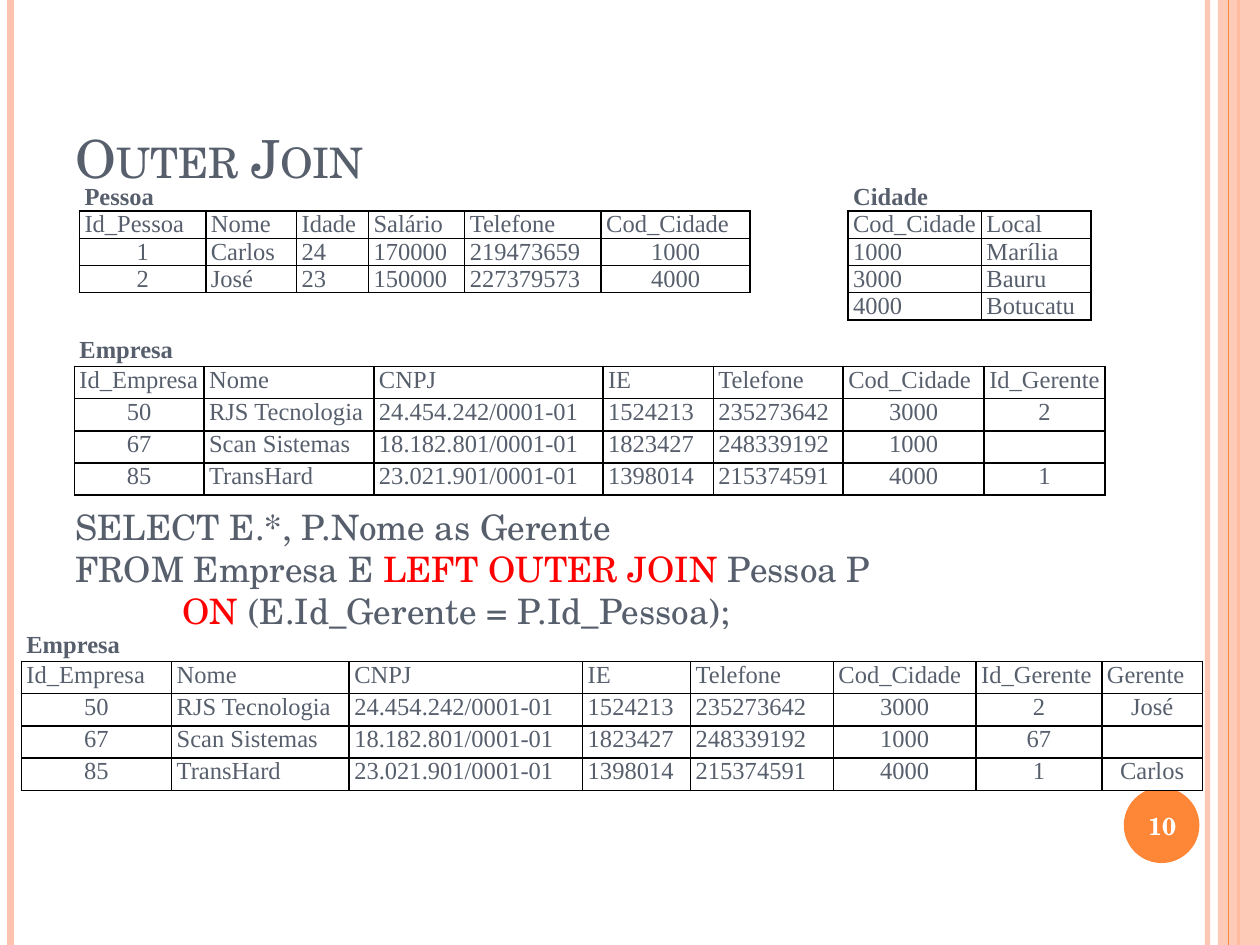
from dataclasses import dataclass

from lxml import etree
from pptx import Presentation
from pptx.dml.color import RGBColor
from pptx.enum.shapes import MSO_CONNECTOR, MSO_SHAPE
from pptx.enum.text import MSO_ANCHOR, PP_ALIGN
from pptx.oxml.ns import qn
from pptx.util import Pt

LEFT, CENTER, JUST = PP_ALIGN.LEFT, PP_ALIGN.CENTER, PP_ALIGN.JUSTIFY
TOP, MIDDLE, BOTTOM = MSO_ANCHOR.TOP, MSO_ANCHOR.MIDDLE, MSO_ANCHOR.BOTTOM
RECT, OVAL = MSO_SHAPE.RECTANGLE, MSO_SHAPE.OVAL
STRAIGHT = MSO_CONNECTOR.STRAIGHT

HEX = {
    "ink": "575F6D", "red": "FF0000", "white": "FFFFFF",
    "black": "000000", "peach": "FEC3AE", "orange": "FE8637",
}
SERIF, SCHOOL = "Times New Roman", "TeX Gyre Schola"
PLAIN = "{2D5ABB26-0587-4C30-8999-92F81FD0307C}"
WIDE, HIGH = 720, 540


@dataclass
class Rule:
    x: float
    width: float
    color: str
    alpha: int = 100


@dataclass
class Grid:
    left: float
    top: float
    high: float
    widths: list
    spans: list
    mid: set
    rows: list


def rgb(name: str) -> RGBColor:
    return RGBColor.from_string(HEX[name])


def fade(fill, alpha: int) -> None:
    tint = next(fill.iter(qn("a:srgbClr")))
    etree.SubElement(tint, qn("a:alpha"), val=str(alpha * 1000))


def add_run(para, text: str, size: float, font: str, color: str = "ink", bold: bool = False):
    run = para.add_run()
    run.text = text
    run.font.size = Pt(size)
    run.font.name = font
    run.font.bold = bold
    run.font.color.rgb = rgb(color)
    return run


def draw_rule(slide, rule: Rule) -> None:
    line = slide.shapes.add_connector(STRAIGHT, Pt(rule.x), 0, Pt(rule.x), Pt(HIGH))
    line.line.width = Pt(rule.width)
    line.line.color.rgb = rgb(rule.color)
    if rule.alpha < 100:
        fade(line._element.spPr, rule.alpha)
    etree.SubElement(line._element.spPr, qn("a:effectLst"))


def draw_shape(slide, kind, box: tuple, color: str, alpha: int = 100) -> None:
    shape = slide.shapes.add_shape(kind, *map(Pt, box))
    shape.shadow.inherit = False
    shape.fill.solid()
    shape.fill.fore_color.rgb = rgb(color)
    shape.line.fill.background()
    if alpha < 100:
        fade(shape._element.spPr, alpha)


def add_text(slide, box: tuple):
    frame = slide.shapes.add_textbox(*map(Pt, box)).text_frame
    frame.word_wrap = True
    frame.vertical_anchor = MIDDLE
    return frame


def draw_edge(cell, side: str, place: int) -> None:
    edge = etree.Element(qn("a:ln" + side), w=str(Pt(1)))
    fill = etree.SubElement(edge, qn("a:solidFill"))
    etree.SubElement(fill, qn("a:srgbClr"), val=HEX["black"])
    cell._tc.get_or_add_tcPr().insert(place, edge)


def draw_grid(slide, grid: Grid) -> None:
    rows, cols = len(grid.rows), len(grid.widths)
    frame = slide.shapes.add_table(
        rows, cols, Pt(grid.left), Pt(grid.top), Pt(sum(grid.widths)), Pt(grid.high * rows))
    table = frame.table
    table._tbl.tblPr.find(qn("a:tableStyleId")).text = PLAIN
    for col, width in zip(table.columns, grid.widths):
        col.width = Pt(width)

    def boxed(r: int, c: int) -> bool:
        return 0 < r < rows and 0 <= c < cols and grid.rows[r][c] is not None

    for r, row in enumerate(grid.rows):
        table.rows[r].height = Pt(grid.high)
        for c, text in enumerate(row):
            cell = table.cell(r, c)
            cell.margin_left = cell.margin_right = Pt(2.9)
            cell.margin_top = cell.margin_bottom = 0
            cell.vertical_anchor = TOP if r else MIDDLE
            cell.fill.solid()
            cell.fill.fore_color.rgb = rgb("white")
            para = cell.text_frame.paragraphs[0]
            para.alignment = CENTER if r > 1 and c in grid.mid else LEFT
            if text:
                add_run(para, text, 14, SERIF, bold=r == 0)
            else:
                end = etree.SubElement(para._p, qn("a:endParaRPr"), sz="1400")
                etree.SubElement(end, qn("a:latin"), typeface=SERIF)
            near = {"L": (r, c - 1), "R": (r, c + 1), "T": (r - 1, c), "B": (r + 1, c)}
            sides = [s for s, spot in near.items() if boxed(r, c) or boxed(*spot)]
            for place, side in enumerate(sides):
                draw_edge(cell, side, place)
    for first, last in grid.spans:
        table.cell(0, first).merge(table.cell(0, last))


RULES = [
    Rule(690, 3, "peach", 93), Rule(6, 4.5, "peach"), Rule(707.8, 1.5, "orange"),
]
PEOPLE = [
    ["Pessoa"] + [None] * 6 + ["Cidade", None],
    ["Id_Pessoa", "Nome", "Idade", "Salário", "Telefone", "Cod_Cidade", None, "Cod_Cidade", "Local"],
    ["1", "Carlos", "24", "170000", "219473659", "1000", None, "1000", "Marília"],
    ["2", "José", "23", "150000", "227379573", "4000", None, "3000", "Bauru"],
    [None] * 7 + ["4000", "Botucatu"],
]
FIRMS = [
    ["Empresa"] + [None] * 5,
    ["Id_Empresa", "Nome", "CNPJ", "IE", "Telefone", "Cod_Cidade"],
    ["50", "RJS Tecnologia", "24.454.242/0001-01", "1524213", "235273642", "3000"],
    ["67", "Scan Sistemas", "18.182.801/0001-01", "1823427", "248339192", "1000"],
    ["85", "TransHard", "23.021.901/0001-01", "1398014", "215374591", "4000"],
]
HEADS = [[None], ["Id_Gerente"], ["2"], [""], ["1"]]
JOINED = [[None, None], ["Id_Gerente", "Gerente"], ["2", "José"], ["67", ""], ["1", "Carlos"]]
GRIDS = [
    Grid(45.4, 105.1, 15.55, [72.2, 51.9, 41.1, 55, 78, 85.1, 56, 76.2, 62.7],
         [(0, 5), (7, 8)], {0, 5}, PEOPLE),
    Grid(42.5, 191, 18.4, [74.1, 97.1, 130.9, 63.1, 74.2, 80.6, 69],
         [(0, 5)], {0, 5, 6}, [a + b for a, b in zip(FIRMS, HEADS)]),
    Grid(12.2, 359.6, 18.4, [85.9, 101.5, 133.4, 61.7, 81.6, 81.6, 71.8, 57.6],
         [(0, 5)], {0, 5, 6, 7}, [a + b for a, b in zip(FIRMS, JOINED)]),
]
QUERY = [
    (0, [("SELECT E.*, P.Nome as Gerente", "ink")]),
    (0, [("FROM Empresa E ", "ink"), ("LEFT OUTER JOIN ", "red"), ("Pessoa P", "ink")]),
    (61.2, [("ON", "red"), (" (E.Id_Gerente = P.Id_Pessoa);", "ink")]),
]


def main() -> None:
    deck = Presentation()
    deck.slide_width, deck.slide_height = Pt(WIDE), Pt(HIGH)
    slide = deck.slides.add_slide(deck.slide_layouts[5])
    for rule in RULES:
        draw_rule(slide, rule)
    draw_shape(slide, RECT, (696, 0, 24, HIGH), "peach", 87)
    draw_rule(slide, Rule(702, 0.75, "orange"))
    draw_shape(slide, OVAL, (642.2, 450, 43.2, 43.2), "orange")

    title = slide.shapes.title
    title.left, title.top, title.width, title.height = map(Pt, (36, 21.6, 588, 90))
    title.text_frame.vertical_anchor = BOTTOM
    para = title.text_frame.paragraphs[0]
    para.alignment = LEFT
    add_run(para, "Outer Join", 30, SCHOOL).font._element.set("cap", "small")

    for grid in GRIDS[:2]:
        draw_grid(slide, grid)
    frame = add_text(slide, (36, 285.1, 620, 80))
    for i, (indent, runs) in enumerate(QUERY):
        para = frame.add_paragraph() if i else frame.paragraphs[0]
        para.alignment = JUST
        para._p.get_or_add_pPr().set("marL", str(Pt(indent)))
        for text, color in runs:
            add_run(para, text, 20, SCHOOL, color)
    draw_grid(slide, GRIDS[2])

    para = add_text(slide, (640, 451.4, 48.2, 41)).paragraphs[0]
    para.alignment = CENTER
    add_run(para, "10", 14, SCHOOL, "white", True)
    deck.save("out.pptx")


if __name__ == "__main__":
    main()
